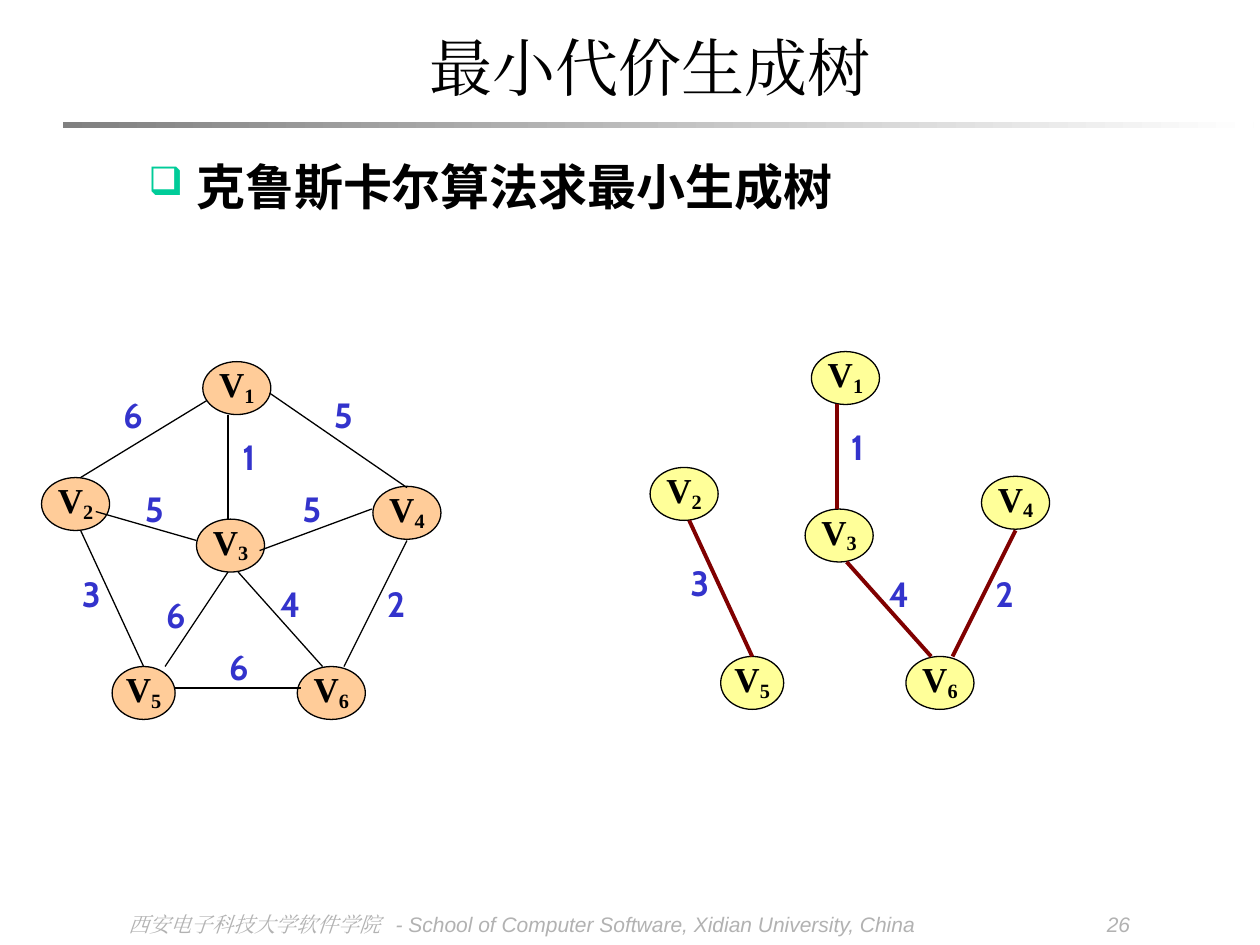
"""Build a slide on Kruskal's algorithm: a weighted graph and its minimum spanning tree."""
from dataclasses import dataclass

from lxml import etree
from pptx import Presentation
from pptx.dml.color import RGBColor
from pptx.enum.shapes import MSO_CONNECTOR, MSO_SHAPE
from pptx.enum.text import MSO_ANCHOR, PP_ALIGN
from pptx.oxml.ns import qn
from pptx.util import Inches, Pt

OVAL, BAR = MSO_SHAPE.OVAL, MSO_SHAPE.RECTANGLE
STRAIGHT = MSO_CONNECTOR.STRAIGHT
LEFT, CENTER = PP_ALIGN.LEFT, PP_ALIGN.CENTER
TOP, MIDDLE = MSO_ANCHOR.TOP, MSO_ANCHOR.MIDDLE


@dataclass(frozen=True)
class Theme:
    ink: str = "000000"
    bullet: str = "00CC99"
    weight: str = "3333CC"
    graph_node: str = "FFCC99"
    tree_node: str = "FFFF99"
    tree_edge: str = "800000"
    footer: str = "B2B2B2"
    rule_start: str = "808080"
    rule_end: str = "FFFFFF"
    serif: str = "Times New Roman"
    sans: str = "Arial"
    chinese: str = "Noto Sans CJK SC"
    digits: str = "Cabin"
    title_size: int = 36
    body_size: int = 28
    graph_size: int = 20
    footer_size: int = 12


THEME = Theme()
TITLE = "最小代价生成树"
TOPIC = "克鲁斯卡尔算法求最小生成树"
FOOTER = (
    ("西安电子科技大学软件学院", THEME.serif),
    ("\t- School of Computer Software, Xidian University, China", THEME.sans),
    ("\t26", THEME.sans),
)
FOOTER_TABS = ((2.12, "l"), (7.95, "r"))

NODE_HEIGHT, LABEL_SIZE = 0.42, 0.33
NODES = {
    "1": (1.61, 2.87, 0.54),
    "2": (0.33, 3.79, 0.54),
    "3": (1.56, 4.12, 0.54),
    "4": (2.96, 3.86, 0.54),
    "5": (0.89, 5.29, 0.50),
    "6": (2.36, 5.29, 0.54),
}
TREE_EDGES = (
    ("1", (1.81, 3.29), (1.81, 4.12), (1.81, 3.46)),
    ("2", (3.23, 4.29), (2.73, 5.29), (2.98, 4.62)),
    ("3", (0.64, 4.21), (1.14, 5.29), (0.56, 4.54)),
    ("4", (1.89, 4.54), (2.56, 5.29), (2.14, 4.62)),
)
OTHER_EDGES = (
    ("6", (1.64, 3.18), (0.64, 3.79), (0.89, 3.12)),
    ("5", (2.14, 3.12), (3.23, 3.87), (2.56, 3.12)),
    ("5", (1.56, 4.29), (0.76, 4.06), (1.06, 3.87)),
    ("5", (2.06, 4.37), (2.95, 4.04), (2.31, 3.87)),
    ("6", (1.81, 4.54), (1.31, 5.29), (1.23, 4.71)),
    ("6", (1.39, 5.46), (2.39, 5.46), (1.73, 5.12)),
)
GRAPHS = (
    ((0, 0), TREE_EDGES + OTHER_EDGES, THEME.graph_node, THEME.ink, 0.75),
    ((4.83, -0.08), TREE_EDGES, THEME.tree_node, THEME.tree_edge, 2.25),
)


def color(value):
    return RGBColor.from_string(value)


def add_run(paragraph, text, size, font, ink, bold=False, italic=False):
    run = paragraph.add_run()
    run.text = text
    run.font.size, run.font.name = Pt(size), font
    run.font.bold, run.font.italic = bold, italic
    run.font.color.rgb = color(ink)
    properties = run._r.get_or_add_rPr()
    etree.SubElement(properties, qn("a:ea"), typeface=font)
    return properties


def first_paragraph(shape, align, anchor, wrap=True, inset=(0, 0)):
    frame = shape.text_frame
    frame.word_wrap, frame.vertical_anchor = wrap, anchor
    frame.margin_left = frame.margin_right = Inches(inset[0])
    frame.margin_top = frame.margin_bottom = Inches(inset[1])
    paragraph = frame.paragraphs[0]
    paragraph.alignment = align
    return paragraph


def add_text_box(slide, box):
    return slide.shapes.add_textbox(*map(Inches, box))


def add_node(slide, name, box, fill):
    shape = slide.shapes.add_shape(OVAL, *map(Inches, box))
    shape.shadow.inherit = False
    shape.fill.solid()
    shape.fill.fore_color.rgb = color(fill)
    shape.line.color.rgb, shape.line.width = color(THEME.ink), Pt(0.75)
    paragraph = first_paragraph(shape, CENTER, MIDDLE, wrap=False)
    paragraph.line_spacing = 0.72
    style = (THEME.graph_size, THEME.serif, THEME.ink, True)
    add_run(paragraph, "V", *style)
    add_run(paragraph, name, *style).set("baseline", "-16000")


def add_edge(slide, start, end, ink, width):
    connector = slide.shapes.add_connector(STRAIGHT, *map(Inches, start + end))
    connector.line.color.rgb, connector.line.width = color(ink), Pt(width)
    etree.SubElement(connector._element.spPr, qn("a:effectLst"))


def add_graph(slide, offset, edges, fill, ink, width):
    def move(point):
        return point[0] + offset[0], point[1] + offset[1]

    for name, (left, top, node_width) in NODES.items():
        add_node(slide, name, move((left, top)) + (node_width, NODE_HEIGHT), fill)
    for weight, start, end, label in edges:
        add_edge(slide, move(start), move(end), ink, width)
        box = add_text_box(slide, move(label) + (LABEL_SIZE, LABEL_SIZE))
        paragraph = first_paragraph(box, CENTER, TOP)
        add_run(paragraph, weight, THEME.graph_size, THEME.digits, THEME.weight, True)


def add_title(slide):
    title = slide.shapes.title
    title.left, title.top, title.width, title.height = map(Inches, (0.9, 0.15, 8.52, 0.76))
    paragraph = first_paragraph(title, CENTER, MIDDLE, inset=(0.1, 0.05))
    add_run(paragraph, TITLE, THEME.title_size, THEME.serif, THEME.ink)


def add_rule(slide):
    rule = slide.shapes.add_shape(BAR, *map(Inches, (0.5, 0.97, 9.45, 0.05)))
    rule.shadow.inherit = False
    rule.line.fill.background()
    rule.fill.gradient()
    rule.fill.gradient_angle = 0
    for stop, shade in zip(rule.fill.gradient_stops, (THEME.rule_start, THEME.rule_end)):
        stop.color.rgb = color(shade)


def add_topic(slide):
    box = add_text_box(slide, (1.08, 1.15, 7.83, 0.75))
    paragraph = first_paragraph(box, LEFT, TOP, inset=(0.1, 0.05))
    paragraph.line_spacing, paragraph.space_before = 1.1, Pt(7)
    properties = paragraph._p.get_or_add_pPr()
    properties.set("marL", str(Inches(0.38)))
    properties.set("indent", str(-Inches(0.38)))
    bullet_color = etree.SubElement(properties, qn("a:buClr"))
    etree.SubElement(bullet_color, qn("a:srgbClr"), val=THEME.bullet)
    etree.SubElement(properties, qn("a:buSzPct"), val="80000")
    etree.SubElement(properties, qn("a:buChar"), char="❑")
    add_run(paragraph, TOPIC, THEME.body_size, THEME.chinese, THEME.ink, True)


def add_footer(slide):
    box = add_text_box(slide, (0, 7.17, 10, 0.33))
    paragraph = first_paragraph(box, LEFT, MIDDLE, inset=(0.1, 0.05))
    box.text_frame.margin_left = Inches(1.02)
    tabs = etree.SubElement(paragraph._p.get_or_add_pPr(), qn("a:tabLst"))
    for position, align in FOOTER_TABS:
        etree.SubElement(tabs, qn("a:tab"), pos=str(Inches(position)), algn=align)
    for text, font in FOOTER:
        add_run(paragraph, text, THEME.footer_size, font, THEME.footer, italic=True)


def main():
    presentation = Presentation()
    presentation.slide_width, presentation.slide_height = Inches(10), Inches(7.5)
    slide = presentation.slides.add_slide(presentation.slide_layouts[5])
    add_footer(slide)
    add_rule(slide)
    add_title(slide)
    add_topic(slide)
    for graph in GRAPHS:
        add_graph(slide, *graph)
    presentation.save("out.pptx")


if __name__ == "__main__":
    main()
